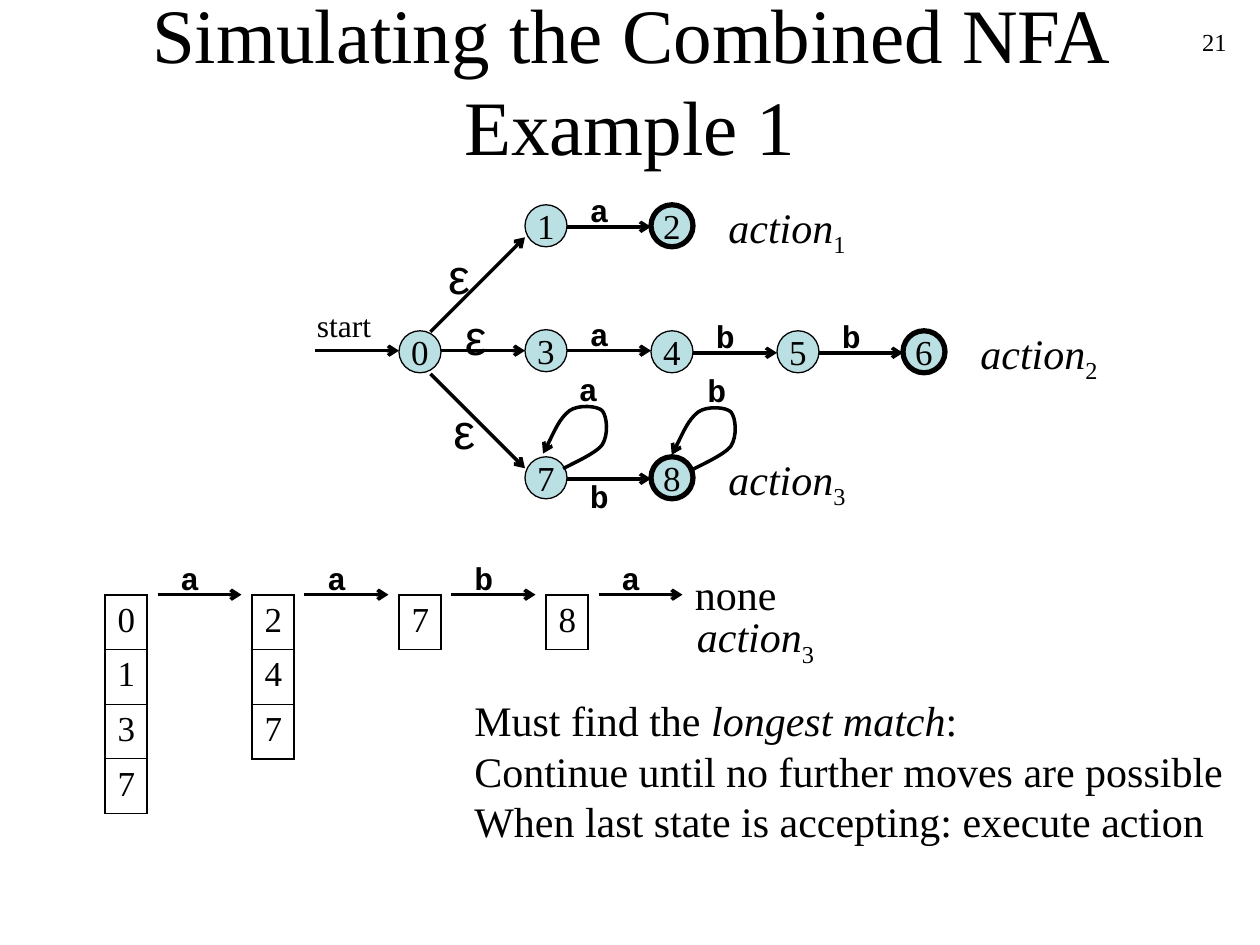
from dataclasses import dataclass

from lxml import etree
from pptx import Presentation, util as u
from pptx.dml.color import RGBColor
from pptx.enum import shapes, text
from pptx.oxml import ns

COLUMNS, ROWS = 120, 90
EDGE, STATE = 8, 4


@dataclass(frozen=True)
class Theme:
    ink: RGBColor = RGBColor(0, 0, 0)
    state: RGBColor = RGBColor(0xBB, 0xE0, 0xE3)
    serif: str = "Times New Roman"
    mono: str = "Courier New"
    sans: str = "Arial"
    title: int = 44
    epsilon: int = 28
    body: int = 24
    digit: int = 20
    label: int = 18
    page: int = 14
    arrow: float = 2
    accepting: float = 3
    thin: float = 0.75
    frame: float = 1.08
    rule: float = 0.45


class AutomatonSlide:
    """Draws on a grid of COLUMNS by ROWS cells."""

    def __init__(self, presentation, theme):
        self.theme = theme
        self.slide = presentation.slides.add_slide(presentation.slide_layouts[6])
        self.column = presentation.slide_width / COLUMNS
        self.row = presentation.slide_height / ROWS

    def place(self, *lengths):
        """Turn alternating columns and rows into slide lengths."""
        return [u.Emu(round(n * (self.row if i % 2 else self.column)))
                for i, n in enumerate(lengths)]

    def style(self, run, size, font=None, bold=False, italic=False):
        run.font.size = u.Pt(size)
        run.font.name = font or self.theme.serif
        run.font.bold, run.font.italic = bold, italic
        run.font.color.rgb = self.theme.ink

    def outline(self, line, width):
        line.color.rgb = self.theme.ink
        line.width = u.Pt(width)

    def arrowhead(self, line):
        etree.SubElement(line._get_or_add_ln(), ns.qn("a:tailEnd"), type="arrow")

    def text(self, box, pieces, size, font=None, bold=False, align=None,
             anchor=text.MSO_ANCHOR.TOP, wrap=False):
        """Pieces are (words, kind) pairs; kind is "", "italic" or "sub"."""
        frame = self.slide.shapes.add_textbox(*self.place(*box)).text_frame
        frame.word_wrap, frame.vertical_anchor = wrap, anchor
        frame.auto_size = (text.MSO_AUTO_SIZE.NONE if wrap
                           else text.MSO_AUTO_SIZE.SHAPE_TO_FIT_TEXT)
        paragraph = frame.paragraphs[0]
        paragraph.alignment = align
        for words, kind in pieces:
            for i, line in enumerate(words.split("\n")):
                if i:
                    paragraph.add_line_break()
                run = paragraph.add_run()
                run.text = line
                self.style(run, size, font, bold, kind == "italic")
                if kind == "sub":
                    run._r.get_or_add_rPr().set("baseline", "-25000")

    def symbol(self, x, y, letter):
        self.text((x, y, 4.2, 4.8), [(letter, "")], self.theme.label,
                  self.theme.mono, bold=True)

    def epsilon(self, x, y):
        self.text((x, y, 4.4, 6.84), [("ε", "")], self.theme.epsilon, self.theme.sans)

    def action(self, x, y, number):
        self.text((x, y, 13.56, 6.72), [("action", "italic"), (number, "sub")],
                  self.theme.body)

    def state(self, x, y, name, accepting=False):
        shape = self.slide.shapes.add_shape(
            shapes.MSO_SHAPE.OVAL, *self.place(x, y, STATE, STATE))
        shape.shadow.inherit = False
        shape.fill.solid()
        shape.fill.fore_color.rgb = self.theme.state
        self.outline(shape.line, self.theme.accepting if accepting else self.theme.thin)
        frame = shape.text_frame
        frame.text, frame.word_wrap = name, False
        frame.vertical_anchor = text.MSO_ANCHOR.MIDDLE
        frame.paragraphs[0].alignment = text.PP_ALIGN.CENTER
        self.style(frame.paragraphs[0].runs[0], self.theme.digit)

    def arrow(self, *ends):
        connector = self.slide.shapes.add_connector(
            shapes.MSO_CONNECTOR.STRAIGHT, *self.place(*ends))
        self.outline(connector.line, self.theme.arrow)
        self.arrowhead(connector.line)
        etree.SubElement(connector._element.spPr, ns.qn("a:effectLst"))

    def edge(self, x, y, letter=None, label_rise=4):
        """Horizontal arrow of standard length with its input symbol."""
        self.arrow(x, y, x + EDGE, y)
        if letter:
            self.symbol(x + 1, y - label_rise, letter)

    def loop(self, x, y, letter):
        """Curved arrow from a state's right side back to its top."""
        offsets = [(0.6, -0.36), (3.12, -1.44), (3.72, -2.28),
                   (4.32, -3.24), (4.2, -4.92), (3.72, -5.52),
                   (3.24, -6), (1.44, -6.12), (0.6, -5.52),
                   (-0.36, -4.8), (-1.44, -2.28), (-1.92, -1.44)]
        builder = self.slide.shapes.build_freeform(*self.place(x, y))
        builder.add_line_segments(
            [self.place(x + dx, y + dy) for dx, dy in offsets], close=False)
        shape = builder.convert_to_shape()
        segments = list(shape._element.iter(ns.qn("a:lnTo")))
        outline_path = segments[0].getparent()
        for i in range(0, len(segments), 3):
            curve = etree.SubElement(outline_path, ns.qn("a:cubicBezTo"))
            for segment in segments[i:i + 3]:
                curve.append(segment[0])
                outline_path.remove(segment)
        shape.fill.background()
        self.outline(shape.line, self.theme.arrow)
        self.arrowhead(shape.line)
        shape.shadow.inherit = False
        self.symbol(x + 0.3, y - 10, letter)

    def border(self, cell, first, last):
        frame, rule = self.theme.frame, self.theme.rule
        widths = {"lnL": frame, "lnR": frame, "lnT": frame if first else rule,
                  "lnB": frame if last else rule}
        properties = cell._tc.get_or_add_tcPr()
        for i, (side, width) in enumerate(widths.items()):
            line = etree.Element(ns.qn("a:" + side), w=str(u.Pt(width)))
            fill = etree.SubElement(line, ns.qn("a:solidFill"))
            etree.SubElement(fill, ns.qn("a:srgbClr"), val=str(self.theme.ink))
            properties.insert(i, line)

    def state_set(self, x, y, names):
        """One-column table of the states that are active together."""
        table = self.slide.shapes.add_table(
            len(names), 1, *self.place(x, y, STATE, 5.2 * len(names))).table
        table.first_row = table.horz_banding = False
        for i, name in enumerate(names):
            cell = table.cell(i, 0)
            cell.text = name
            cell.fill.background()
            paragraph = cell.text_frame.paragraphs[0]
            paragraph.space_before = u.Pt(5)
            self.style(paragraph.runs[0], self.theme.digit)
            self.border(cell, i == 0, i == len(names) - 1)


def main():
    presentation = Presentation()
    presentation.slide_width, presentation.slide_height = u.Inches(10), u.Inches(7.5)
    theme = Theme()
    page = AutomatonSlide(presentation, theme)

    page.text((93, 2, 25, 6), [("21", "")], theme.page,
              align=text.PP_ALIGN.RIGHT, wrap=True)
    page.text((9, 0, 102, 15), [("Simulating the Combined NFA Example 1", "")],
              theme.title, align=text.PP_ALIGN.CENTER,
              anchor=text.MSO_ANCHOR.MIDDLE, wrap=True)

    for x, y, name in [(38, 31.5, "0"), (50, 19.5, "1"), (50, 31.4, "3"),
                       (62, 31.5, "4"), (74, 31.5, "5"), (50, 43.5, "7")]:
        page.state(x, y, name)
    for x, y, name, number in [(62, 19.5, "2", "1"), (86, 31.5, "6", "2"),
                               (62, 43.5, "8", "3")]:
        page.state(x, y, name, accepting=True)
        page.action(x + 6.2, y - 0.9, number)

    for x, y, letter in [(54, 21.6, "a"), (30, 33.4, None), (42, 33.4, None),
                         (54, 33.4, "a"), (66, 33.6, "b"), (78, 33.6, "b")]:
        page.edge(x, y, letter)
    page.edge(54, 45.6, "b", label_rise=0.8)
    page.arrow(41, 31.6, 50, 22.6)
    page.arrow(41, 35.6, 50, 44.6)
    page.loop(53.64, 44.64, "a")
    page.loop(65.9, 44.76, "b")
    page.text((29, 28.6, 7.6, 4.8), [("start", "")], theme.label)
    for x, y in [(41.5, 22.8), (43.1, 28.6), (42, 37.6)]:
        page.epsilon(x, y)

    trace = [("0137", "a"), ("247", "a"), ("7", "b"), ("8", "a")]
    for i, (names, letter) in enumerate(trace):
        page.state_set(10 + 14 * i, 56.64, names)
        page.edge(15 + 14 * i, 56.64, letter)
    page.text((65, 53.6, 10.2, 6), [("none", "")], theme.body)
    page.action(65.2, 57.6, "3")
    page.text((44, 65.6, 73.7, 15.6),
              [("Must find the ", ""), ("longest match", "italic"),
               (":\nContinue until no further moves are possible"
                "\nWhen last state is accepting: execute action", "")], theme.body)
    presentation.save("out.pptx")


if __name__ == "__main__":
    main()
